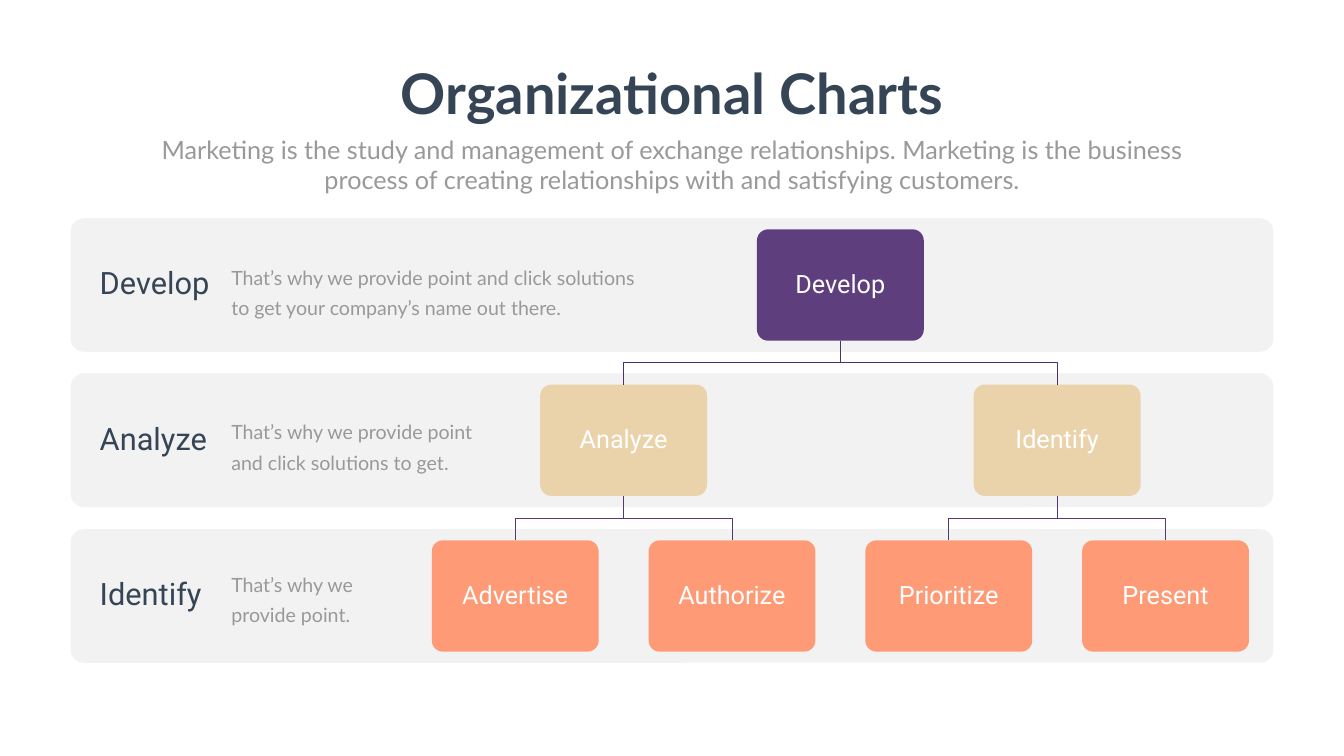
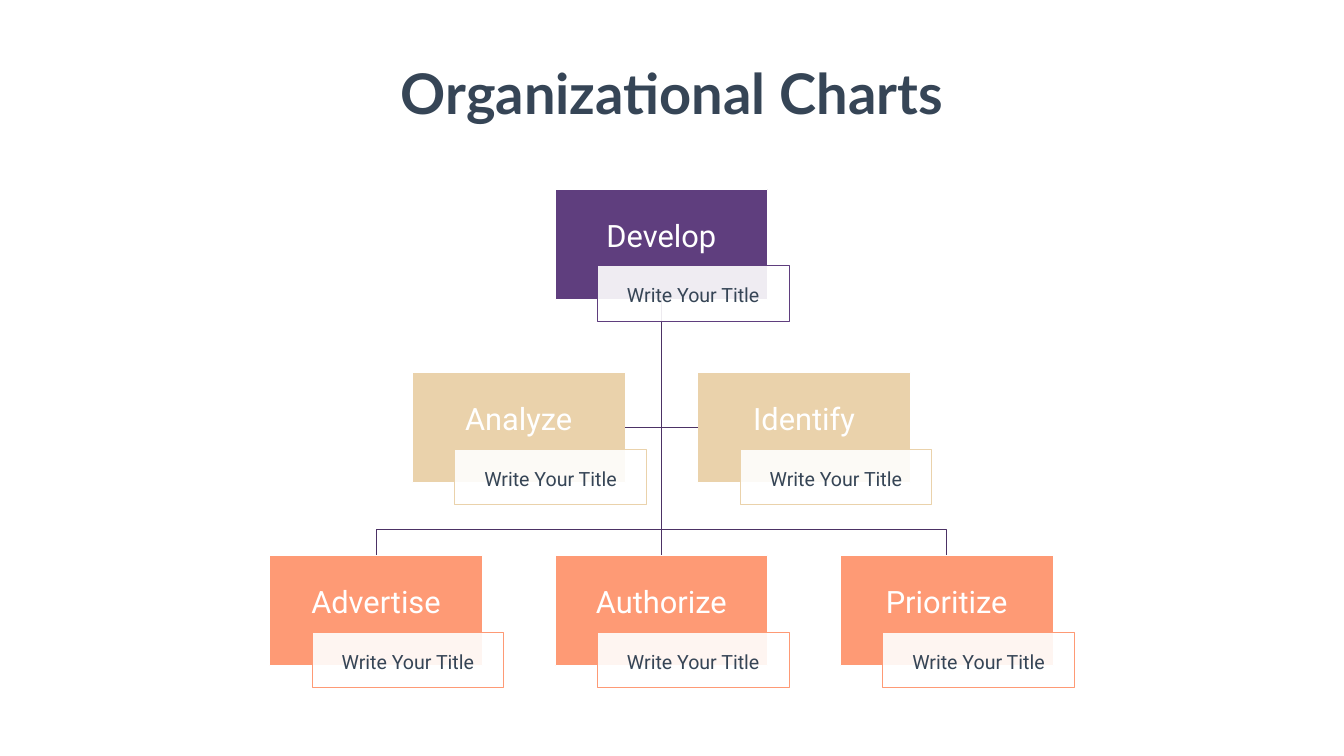
from lxml import etree
from pptx import Presentation
from pptx.dml.color import RGBColor
from pptx.enum.shapes import MSO_CONNECTOR, MSO_SHAPE
from pptx.enum.text import MSO_ANCHOR, PP_ALIGN
from pptx.oxml.ns import qn
from pptx.util import Pt

PX = 9144  # 100 px to the inch

RECTANGLE = MSO_SHAPE.RECTANGLE
ROUNDED = MSO_SHAPE.ROUNDED_RECTANGLE
STRAIGHT = MSO_CONNECTOR.STRAIGHT
LEFT, CENTER = PP_ALIGN.LEFT, PP_ALIGN.CENTER
TOP, MIDDLE = MSO_ANCHOR.TOP, MSO_ANCHOR.MIDDLE
SIDE_TOP, SIDE_LEFT, SIDE_BOTTOM, SIDE_RIGHT = range(4)

WHITE = RGBColor(0xFF, 0xFF, 0xFF)
INK = RGBColor(0x36, 0x45, 0x56)
GRAY = RGBColor(0x99, 0x99, 0x99)
BAND = RGBColor(0xF2, 0xF2, 0xF2)
PURPLE = RGBColor(0x5F, 0x3E, 0x7E)
SAND = RGBColor(0xEA, 0xD2, 0xAB)
CORAL = RGBColor(0xFE, 0x9A, 0x75)
UPPER_LINE = RGBColor(0x4C, 0x32, 0x65)
LOWER_LINE = RGBColor(0x56, 0x38, 0x72)
LEVEL_COLORS = (PURPLE, SAND, CORAL)

TITLE = {"name": "Lato", "size": Pt(80), "bold": True}
SUBTITLE = {"name": "Lato", "size": Pt(36)}
BODY = {"name": "Lato", "size": Pt(28)}
HEADING = {"name": "Roboto", "size": Pt(44)}
NODE = {"name": "Roboto", "size": Pt(36)}
CAPTION = {"name": "Roboto", "size": Pt(28)}

BAND_LEVELS = [
    (433, "Develop", 844, 509,
     "That’s why we provide point and click solutions to get your company’s name out there."),
    (741, "Analyze", 516, 816, "That’s why we provide point and click solutions to get."),
    (1050, "Identify", 339, 1118, "That’s why we provide point."),
]
BAND_NODES = [
    ["Develop"],
    ["Analyze", "Identify"],
    ["Advertise", "Authorize", "Prioritize", "Present"],
]
TITLED_LEVELS = [
    (375, ["Develop"]),
    (739, ["Analyze", "Identify"]),
    (1102, ["Advertise", "Authorize", "Prioritize"]),
]


def write(shape, text, style, color, align=CENTER, anchor=MIDDLE,
          margins=(10, 5, 10, 5), spacing=None, wrap=True):
    """Put one formatted paragraph in a shape; margins are left, top, right, bottom."""
    frame = shape.text_frame
    frame.word_wrap = wrap
    frame.vertical_anchor = anchor
    for side, margin in zip(("left", "top", "right", "bottom"), margins):
        setattr(frame, f"margin_{side}", margin * PX)
    paragraph = frame.paragraphs[0]
    paragraph.text = text
    paragraph.alignment = align
    paragraph.line_spacing = spacing
    for name, value in style.items():
        setattr(paragraph.font, name, value)
    paragraph.font.color.rgb = color


def add_text(slide, box, text, style, color, **layout):
    shape = slide.shapes.add_textbox(*(length * PX for length in box))
    write(shape, text, style, color, anchor=TOP, **layout)


def add_block(slide, kind, box, fill, line=None):
    shape = slide.shapes.add_shape(kind, *(round(length * PX) for length in box))
    shape.shadow.inherit = False
    shape.fill.solid()
    shape.fill.fore_color.rgb = fill
    if kind == ROUNDED:
        shape.adjustments[0] = 0.1
    if line is None:
        shape.line.fill.background()
    else:
        shape.line.color.rgb = line
        shape.line.width = Pt(1)
    return shape


def add_elbow(slide, parent, child, rise, color):
    """Draw a line from parent to child that turns at rise px above the child."""
    start_x = parent.left + parent.width // 2
    end_x = child.left + child.width // 2
    turn_y = child.top - rise * PX
    builder = slide.shapes.build_freeform(start_x, parent.top + parent.height)
    builder.add_line_segments(
        [(start_x, turn_y), (end_x, turn_y), (end_x, child.top)], close=False)
    shape = builder.convert_to_shape()
    shape.shadow.inherit = False
    shape.fill.background()
    shape.line.color.rgb = color
    shape.line.width = Pt(1)


def add_straight(slide, first, first_side, second, second_side):
    connector = slide.shapes.add_connector(STRAIGHT, 0, 0, 0, 0)
    connector.begin_connect(first, first_side)
    connector.end_connect(second, second_side)
    connector.line.color.rgb = UPPER_LINE
    connector.line.width = Pt(1)
    etree.SubElement(connector.element.spPr, qn("a:effectLst"))


def add_title(slide):
    add_text(slide, (770, 112, 1126, 145), "Organizational Charts", TITLE, INK, wrap=False)


def centers(middle, count, step):
    return [middle + (index - (count - 1) / 2) * step for index in range(count)]


def add_band(slide, top, heading):
    band = add_block(slide, ROUNDED, (140, top, 2386, 265), BAND)
    write(band, heading, HEADING, INK, align=LEFT, margins=(50, 34, 34, 34), spacing=0.9)


def add_band_nodes(slide, top, names, color):
    width, height = 331, 221
    nodes = []
    for center, name in zip(centers(1667, len(names), 1720 / len(names)), names):
        node = add_block(slide, ROUNDED, (center - width / 2, top, width, height), color)
        write(node, name, NODE, WHITE, margins=(21, 21, 21, 21), spacing=0.9)
        nodes.append(node)
    return nodes


def add_titled_nodes(slide, top, names, color):
    width, height = 422, 219
    nodes = []
    for center, name in zip(centers(1312, len(names), 566), names):
        node = add_block(slide, RECTANGLE, (center - width / 2, top, width, height),
                         color, WHITE)
        write(node, name, HEADING, WHITE, margins=(3, 3, 3, 31), spacing=0.9)
        nodes.append(node)
    return nodes


def add_title_plate(slide, node, color):
    """Add the translucent caption plate over the lower right corner of a node."""
    box = (node.left / PX + 84, node.top / PX + 152, 380, 110)
    plate = add_block(slide, RECTANGLE, box, WHITE, color)
    fill_color = plate.element.spPr.find(f"{qn('a:solidFill')}/{qn('a:srgbClr')}")
    etree.SubElement(fill_color, qn("a:alpha"), val="90000")
    write(plate, "Write Your Title", CAPTION, INK, margins=(10, 11, 10, 5))


def build_band_chart(slide):
    for top, heading, *_ in BAND_LEVELS:
        add_band(slide, top, heading)
    levels = [add_band_nodes(slide, level[0] + 22, names, color)
              for level, names, color in zip(BAND_LEVELS, BAND_NODES, LEVEL_COLORS)]
    for parents, children, color in zip(levels, levels[1:], (UPPER_LINE, LOWER_LINE)):
        for index, child in enumerate(children):
            add_elbow(slide, parents[index // 2], child, 44, color)
    for _, _, width, top, description in BAND_LEVELS:
        add_text(slide, (449, top, width, 125), description, BODY, GRAY,
                 align=LEFT, spacing=Pt(43))
    add_title(slide)
    add_text(slide, (292, 261, 2082, 131),
             "Marketing is the study and management of exchange relationships. "
             "Marketing is the business process of creating relationships with "
             "and satisfying customers.", SUBTITLE, GRAY)


def build_titled_chart(slide):
    levels = [add_titled_nodes(slide, top, names, color)
              for (top, names), color in zip(TITLED_LEVELS, LEVEL_COLORS)]
    (root,), (left_node, right_node), (first, second, third) = levels
    add_straight(slide, left_node, SIDE_RIGHT, right_node, SIDE_LEFT)
    add_straight(slide, root, SIDE_BOTTOM, second, SIDE_TOP)
    for child in (first, third):
        add_elbow(slide, root, child, 51, UPPER_LINE)
    for nodes, color in zip(levels, LEVEL_COLORS):
        for node in nodes:
            add_title_plate(slide, node, color)
    add_title(slide)


def main():
    presentation = Presentation()
    presentation.slide_width = 2666 * PX
    presentation.slide_height = 1500 * PX
    blank = presentation.slide_layouts[6]
    for build in (build_band_chart, build_titled_chart):
        build(presentation.slides.add_slide(blank))
    presentation.save("out.pptx")


if __name__ == "__main__":
    main()
